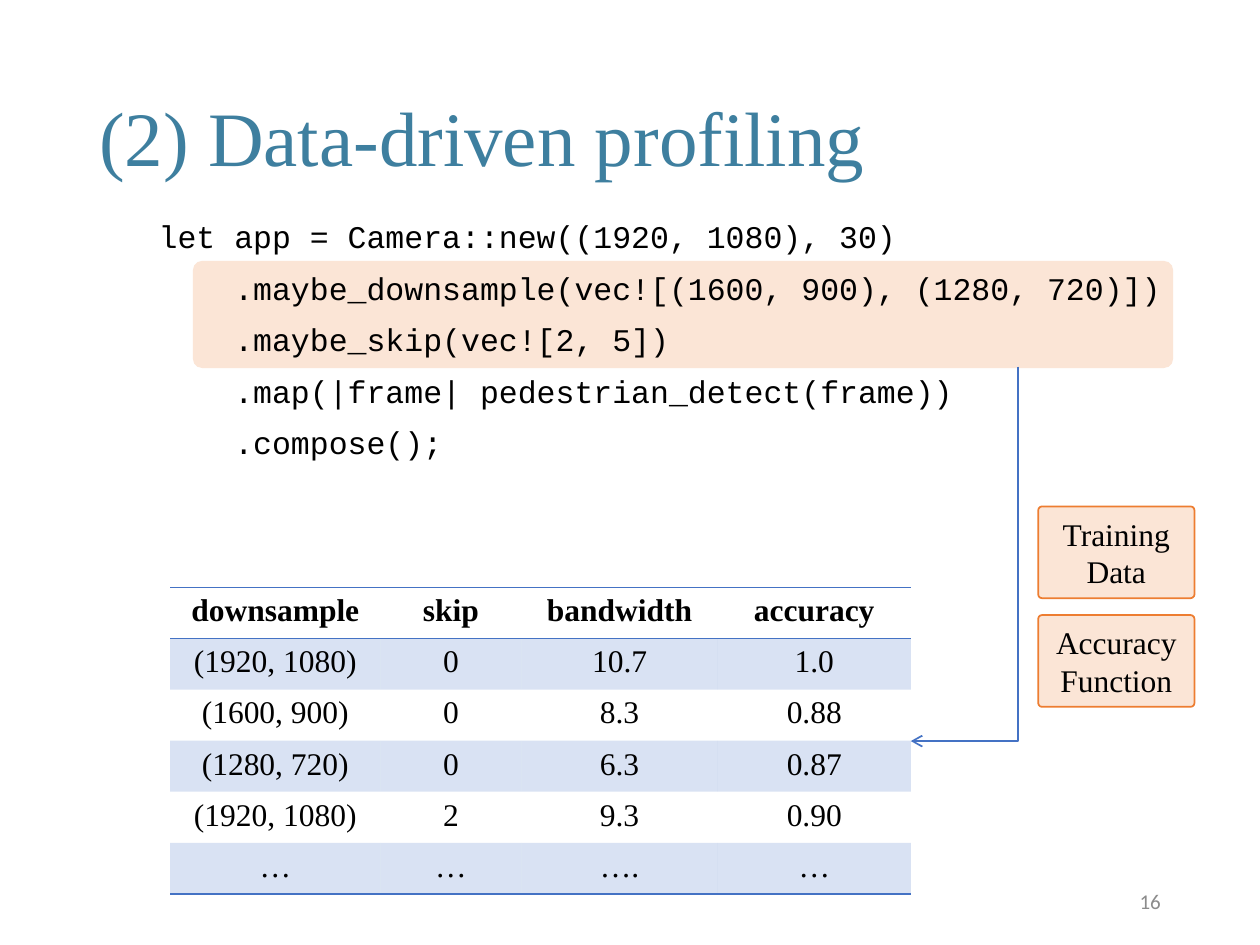
from lxml.etree import SubElement
from pptx import Presentation
from pptx.dml.color import RGBColor
from pptx.enum.shapes import MSO_CONNECTOR, MSO_SHAPE
from pptx.enum.text import MSO_ANCHOR, PP_ALIGN
from pptx.oxml.ns import qn
from pptx.util import Cm, Pt

SERIF = "Times New Roman"
BLUE, PEACH, ORANGE = "4472C4", "FBE5D6", "ED7D31"
NO_TABLE_STYLE = "{2D5ABB26-0587-4C30-8999-92F81FD0307C}"
BODY = {"name": SERIF, "size": Pt(18)}
CENTERED = {"alignment": PP_ALIGN.CENTER}

CODE = [
    "let app = Camera::new((1920, 1080), 30)",
    "    .maybe_downsample(vec![(1600, 900), (1280, 720)])",
    "    .maybe_skip(vec![2, 5])",
    "    .map(|frame| pedestrian_detect(frame))",
    "    .compose();",
]
PROFILE = [
    ["downsample", "skip", "bandwidth", "accuracy"],
    ["(1920, 1080)", "0", "10.7", "1.0"],
    ["(1600, 900)", "0", "8.3", "0.88"],
    ["(1280, 720)", "0", "6.3", "0.87"],
    ["(1920, 1080)", "2", "9.3", "0.90"],
    ["…", "…", "….", "…"],
]
COLUMN_WIDTHS = [4.24, 2.84, 3.96, 3.89]
ROW_HEIGHT = 1.03


def color(hex_code):
    return RGBColor.from_string(hex_code)


def apply(target, values):
    for name, value in values.items():
        setattr(target, name, value)


def write(frame, lines, font, hex_code="000000", layout=None, gap=0):
    """Put one paragraph per line in the frame, with a gap in points between them."""
    for index, line in enumerate(lines):
        paragraph = frame.add_paragraph() if index else frame.paragraphs[0]
        run = paragraph.add_run()
        run.text = line
        apply(run.font, font)
        run.font.color.rgb = color(hex_code)
        apply(paragraph, layout or {})
        if index and gap:
            paragraph.space_before = Pt(gap)


def add_text(slide, box, lines, font, anchor=MSO_ANCHOR.MIDDLE, **style):
    frame = slide.shapes.add_textbox(*map(Cm, box)).text_frame
    apply(frame, {"word_wrap": True, "vertical_anchor": anchor})
    write(frame, lines, font, **style)


def add_panel(slide, box, rounding, outline=None):
    panel = slide.shapes.add_shape(MSO_SHAPE.ROUNDED_RECTANGLE, *map(Cm, box))
    panel.adjustments[0] = rounding
    panel.shadow.inherit = False
    panel.fill.solid()
    panel.fill.fore_color.rgb = color(PEACH)
    if outline:
        panel.line.color.rgb = color(outline)
        panel.line.width = Pt(1)
    else:
        panel.line.fill.background()
    return panel


def add_input(slide, top, lines):
    panel = add_panel(slide, (20.93, top, 3.15, 1.85), 0.042, ORANGE)
    apply(panel.text_frame, {"word_wrap": True, "vertical_anchor": MSO_ANCHOR.MIDDLE})
    write(panel.text_frame, lines, BODY, layout=CENTERED)


def add_solid_fill(parent, hex_code):
    fill = SubElement(parent, qn("a:solidFill"))
    return SubElement(fill, qn("a:srgbClr"), val=hex_code)


def add_border(cell, side):
    properties = cell._tc.get_or_add_tcPr()
    border = SubElement(properties, qn(f"a:{side}"), w=str(Pt(1)))
    add_solid_fill(border, BLUE)


def add_profile_table(slide, left, top):
    last = len(PROFILE) - 1
    frame = slide.shapes.add_table(
        len(PROFILE), len(COLUMN_WIDTHS), Cm(left), Cm(top),
        Cm(sum(COLUMN_WIDTHS)), Cm(ROW_HEIGHT * len(PROFILE)))
    table = frame.table
    table._tbl.tblPr.find(qn("a:tableStyleId")).text = NO_TABLE_STYLE
    for column, width in zip(table.columns, COLUMN_WIDTHS):
        column.width = Cm(width)
    for index, (row, values) in enumerate(zip(table.rows, PROFILE)):
        row.height = Cm(ROW_HEIGHT)
        sides = {0: ["lnT", "lnB"], last: ["lnB"]}.get(index, [])
        for cell, value in zip(row.cells, values):
            write(cell.text_frame, [value], {**BODY, "bold": index == 0}, layout=CENTERED)
            for side in sides:
                add_border(cell, side)
            if index % 2:
                tint = add_solid_fill(cell._tc.get_or_add_tcPr(), BLUE)
                SubElement(tint, qn("a:alpha"), val="20000")
            else:
                cell.fill.background()


def add_corner_arrow(slide, start, end):
    """Run down from start, then turn left into end."""
    (x1, y1), (x2, y2) = start, end
    center_x, center_y = (x1 + x2) / 2, (y1 + y2) / 2
    half_run, half_rise = (y2 - y1) / 2, (x1 - x2) / 2
    arrow = slide.shapes.add_connector(
        MSO_CONNECTOR.ELBOW,
        Cm(center_x - half_run), Cm(center_y - half_rise),
        Cm(center_x + half_run), Cm(center_y + half_rise))
    arrow.rotation = 90
    arrow._element.spPr.find(qn("a:xfrm")).set("rot", str(90 * 60000))
    arrow._element.spPr.find(qn("a:prstGeom")).set("prst", "bentConnector2")
    arrow.line.color.rgb = color(BLUE)
    arrow.line.width = Pt(1)
    SubElement(arrow.line._get_or_add_ln(), qn("a:tailEnd"), type="arrow")
    SubElement(arrow._element.spPr, qn("a:effectLst"))


def main():
    deck = Presentation()
    apply(deck, {"slide_width": Cm(25.4), "slide_height": Cm(19.05)})
    slide = deck.slides.add_slide(deck.slide_layouts[6])

    add_panel(slide, (3.89, 5.26, 19.76, 2.16), 0.087)
    add_text(slide, (1.75, 1.02, 21.16, 3.68), ["(2) Data-driven profiling"],
             {"name": SERIF, "size": Pt(44)}, hex_code="3E7F9F",
             layout={"line_spacing": 0.9})
    add_text(slide, (2.95, 4.34, 21.89, 5.41), CODE,
             {"name": "Courier New", "size": Pt(18)}, anchor=MSO_ANCHOR.TOP,
             layout={"line_spacing": 0.9}, gap=10)
    add_profile_table(slide, 3.43, 11.84)
    add_corner_arrow(slide, (20.52, 7.39), (18.36, 14.94))
    add_input(slide, 10.21, ["Training", "Data"])
    add_input(slide, 12.4, ["Accuracy", "Function"])
    add_text(slide, (17.93, 17.65, 5.72, 1.02), ["16"],
             {"name": "Calibri", "size": Pt(12)}, hex_code="8C8C8C",
             layout={"alignment": PP_ALIGN.RIGHT})
    deck.save("out.pptx")


if __name__ == "__main__":
    main()
